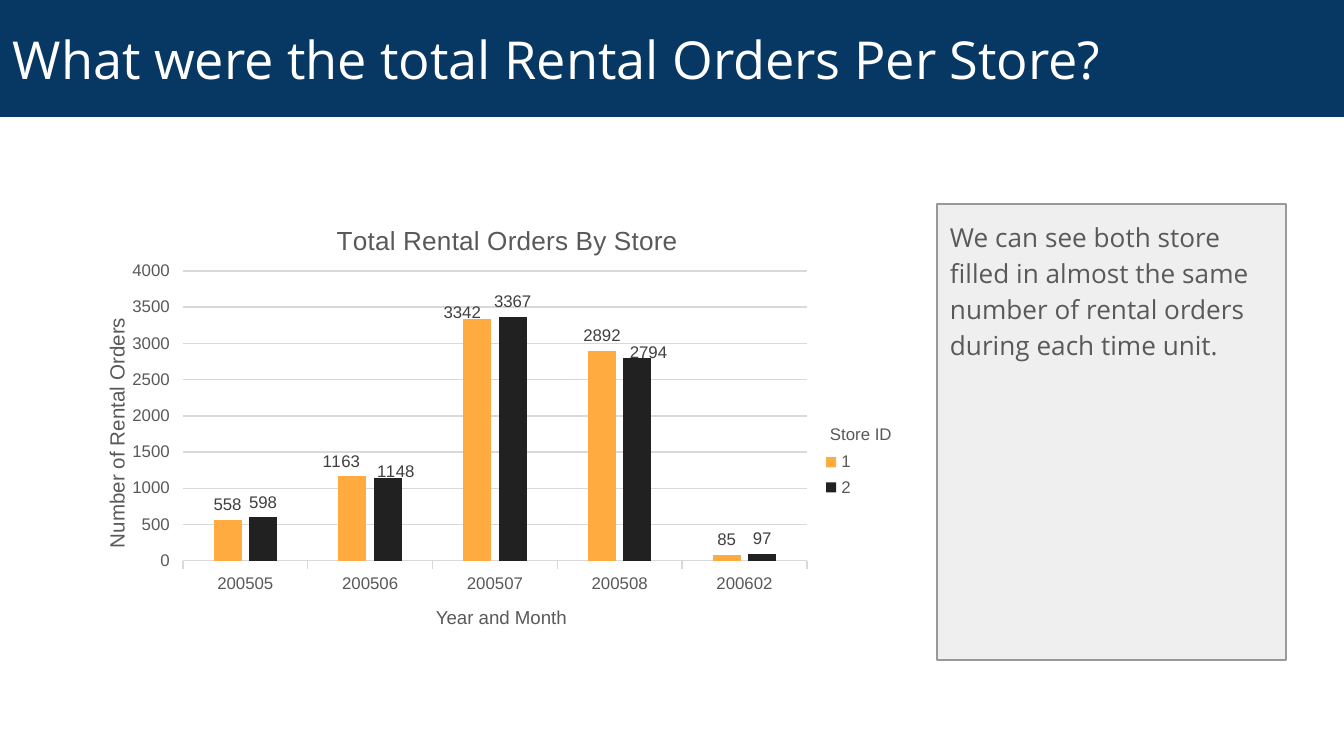
import pptx
import pptx.util
import pptx.chart.data
import pptx.dml.color
import pptx.enum.chart
import pptx.enum.shapes
import pptx.enum.text
import pptx.oxml

SCALE = 914400 / 134.4
COLORS = {"navy": "073763", "white": "FFFFFF", "panel": "EFEFEF", "border": "999999",
          "text": "595959", "grid": "D9D9D9", "label": "404040",
          "orange": "FFAB40", "black": "212121"}
ANCHOR = pptx.enum.text.MSO_ANCHOR
XL = pptx.enum.chart

# text, box in pixels, format, then fill, line, anchor, margins, line spacing, rotation
BOXES = [
    dict(text="We can see both store filled in almost the same number of rental orders "
              "during each time unit.",
         box=(937, 204, 349, 456), size=14, font="Open Sans", color="text",
         fill="panel", line="border", margins=(13, 13), spacing=1.15),
    dict(text="What were the total Rental Orders Per Store?",
         box=(0, 0, 1344, 117), size=28, font="Open Sans", color="white",
         fill="navy", anchor=ANCHOR.MIDDLE, margins=(13, 13)),
    dict(text="Store ID", box=(817, 417, 169, 30), size=9),
    dict(text="Number of Rental Orders", box=(-23, 399, 282, 42), size=11, rotation=270),
    dict(text="Year and Month", box=(423, 599, 169, 30), size=10),
]
CHART_BOX = (118, 204, 778, 438)
# places inside the chart, in pixels from its corner
TITLE_AT = (214, 15)
PLOT_AT = (65, 67, 624, 290)
LEGEND_AT = (697, 243, 47, 56)
CHART_TITLE = "Total Rental Orders By Store"
MONTHS = ["200505", "200506", "200507", "200508", "200602"]
# name, colour, values, label shifts by point in pixels
STORES = [
    ("1", "orange", (558, 1163, 3342, 2892, 85), {1: (-11, 0), 2: (-15, 9)}),
    ("2", "black", (598, 1148, 3367, 2794, 97), {1: (8, 9), 3: (11, 10)}),
]


def px(*values):
    """Turn pixels into EMU."""
    return [pptx.util.Emu(round(v * SCALE)) for v in values]


def rgb(name):
    """Look up a named colour."""
    return pptx.dml.color.RGBColor.from_string(COLORS[name])


def set_font(font, size, color="text", name="Arial"):
    """Apply size, colour and typeface."""
    for key, value in dict(size=pptx.util.Pt(size), name=name, bold=False).items():
        setattr(font, key, value)
    font.color.rgb = rgb(color)


def set_line(line, color):
    """Draw a thin solid line, or none."""
    if color is None:
        line.fill.background()
        return
    line.color.rgb = rgb(color)
    line.width = pptx.util.Pt(0.75)


def set_layout(parent, index, place, **modes):
    """Place a chart part by hand; index is where the schema wants the layout."""
    for old in parent.findall(pptx.oxml.ns.qn("c:layout")):
        parent.remove(old)
    width, height = CHART_BOX[2:]
    values = {k: v / size for k, v, size in zip("xywh", place, (width, height) * 2)}
    items = "".join(f'<c:{k} val="{v}"/>' for k, v in {**modes, **values}.items())
    parent.insert(index, pptx.oxml.parse_xml(
        f'<c:layout {pptx.oxml.ns.nsdecls("c")}><c:manualLayout>{items}'
        '</c:manualLayout></c:layout>'))


def add_box(shapes, text, box, size, font="Arial", color="text", fill=None, line=None,
            anchor=ANCHOR.TOP, margins=(13, 7), spacing=None, rotation=0):
    """Add a text box, or a filled rectangle holding text."""
    if fill:
        sp = shapes.add_shape(pptx.enum.shapes.MSO_SHAPE.RECTANGLE, *px(*box))
        sp.shadow.inherit = False
        sp.fill.solid()
        sp.fill.fore_color.rgb = rgb(fill)
        set_line(sp.line, line)
    else:
        sp = shapes.add_textbox(*px(*box))
    sp.rotation = rotation
    tf = sp.text_frame
    mx, my = px(*margins)
    frame = dict(word_wrap=True, vertical_anchor=anchor, margin_left=mx,
                 margin_right=mx, margin_top=my, margin_bottom=my)
    for key, value in frame.items():
        setattr(tf, key, value)
    p = tf.paragraphs[0]
    p.alignment = pptx.enum.text.PP_ALIGN.LEFT
    p.line_spacing = spacing
    r = p.add_run()
    r.text = text
    set_font(r.font, size, color, font)


def style_axes(chart):
    """Format both axes and the gridlines."""
    for axis, line in ((chart.category_axis, "grid"), (chart.value_axis, None)):
        axis.major_tick_mark = XL.XL_TICK_MARK.OUTSIDE
        axis.minor_tick_mark = XL.XL_TICK_MARK.NONE
        set_font(axis.tick_labels.font, 9)
        set_line(axis.format.line, line)
    value = chart.value_axis
    value.minimum_scale, value.maximum_scale, value.major_unit = 0, 4000, 500
    value.has_major_gridlines = True
    set_line(value.major_gridlines.format.line, "grid")


def style_series(series, color, shifts):
    """Colour the bars and place their value labels."""
    series.format.fill.solid()
    series.format.fill.fore_color.rgb = rgb(color)
    labels = series.data_labels
    labels.show_value = True
    moved = [series.points[i].data_label for i in shifts]
    for label in (labels, *moved):
        label.position = XL.XL_LABEL_POSITION.OUTSIDE_END
        set_font(label.font, 9, "label")
    for d in series._element.iter(pptx.oxml.ns.qn("c:dLbl")):
        idx = d.find(pptx.oxml.ns.qn("c:idx"))
        set_layout(d, 1, shifts[int(idx.get("val"))])


def add_orders_chart(shapes):
    """Add the clustered columns of orders by month and store."""
    data = pptx.chart.data.CategoryChartData()
    data.categories = MONTHS
    for name, _, values, _ in STORES:
        data.add_series(name, values)
    chart = shapes.add_chart(XL.XL_CHART_TYPE.COLUMN_CLUSTERED, *px(*CHART_BOX), data).chart
    set_font(chart.font, 10)
    chart.has_title = True
    r = chart.chart_title.text_frame.paragraphs[0].add_run()
    r.text = CHART_TITLE
    set_font(r.font, 14)

    plot = chart.plots[0]
    plot.gap_width, plot.overlap, plot.vary_by_categories = 219, -27, False
    for series, (_, color, _, shifts) in zip(plot.series, STORES):
        style_series(series, color, shifts)
    style_axes(chart)

    chart.has_legend = True
    legend = chart.legend
    legend.position = XL.XL_LEGEND_POSITION.RIGHT
    legend.include_in_layout = False
    set_font(legend.font, 9)

    edges = dict(xMode="edge", yMode="edge")
    set_layout(chart.chart_title._element, 1, TITLE_AT, **edges)
    set_layout(chart._chartSpace.chart.plotArea, 0, PLOT_AT, layoutTarget="inner", **edges)
    set_layout(legend._element, 1, LEGEND_AT, **edges)


prs = pptx.Presentation()
prs.slide_width, prs.slide_height = px(1344, 756)
s = prs.slides.add_slide(prs.slide_layouts[6])
for item in BOXES:
    add_box(s.shapes, **item)
add_orders_chart(s.shapes)
prs.save("out.pptx")
